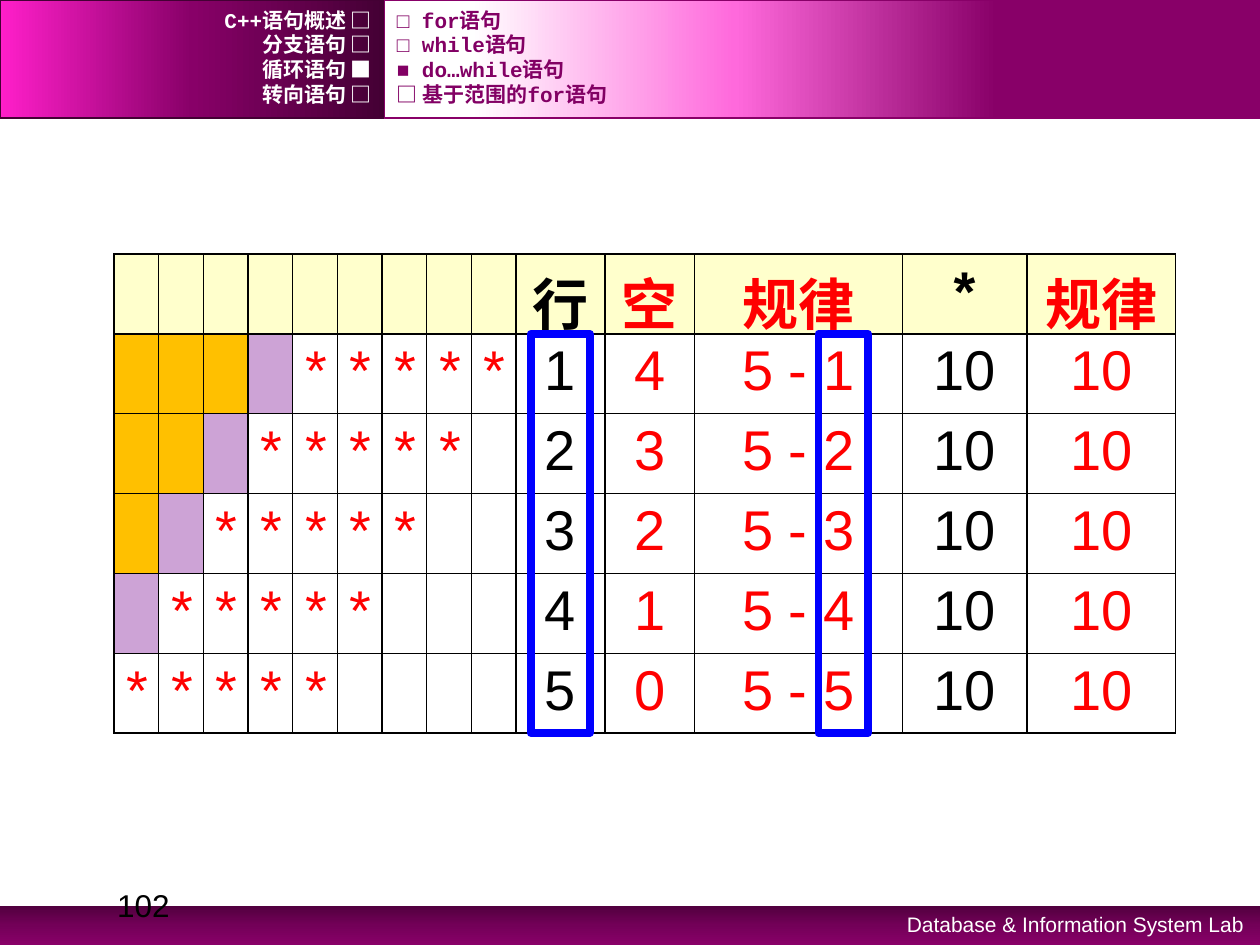
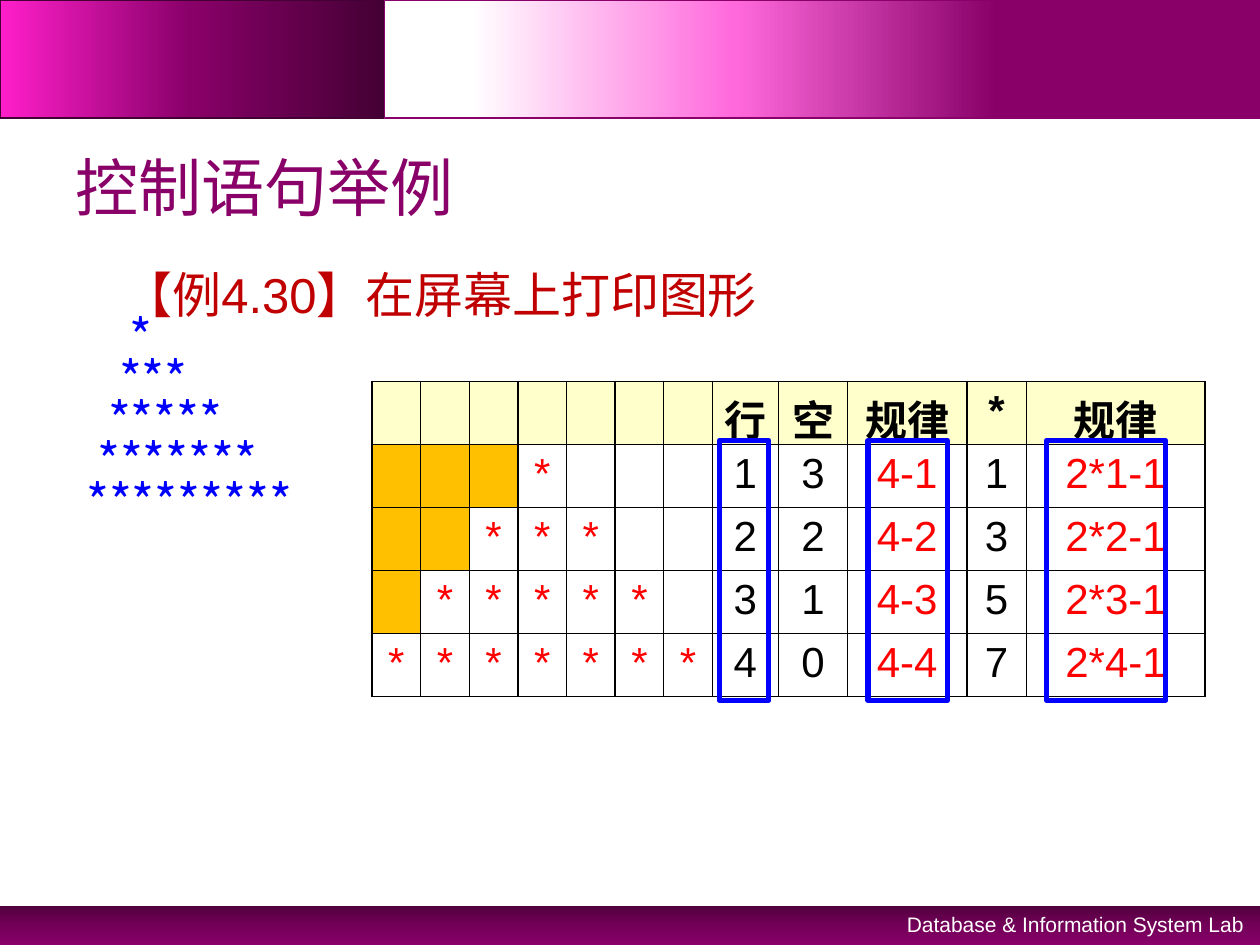
"""Build two slides on printing star figures with loops."""
from lxml.etree import SubElement as Sub
from pptx import Presentation
from pptx.dml.color import RGBColor
from pptx.enum.shapes import MSO_SHAPE as Shape
from pptx.enum.text import MSO_ANCHOR as Anchor, PP_ALIGN as Align
from pptx.oxml.ns import qn
from pptx.util import Cm, Pt

BLACK = RGBColor(0x00, 0x00, 0x00)
WHITE = RGBColor(0xFF, 0xFF, 0xFF)
RED = RGBColor(0xFF, 0x00, 0x00)
BRICK = RGBColor(0xC0, 0x00, 0x00)
BLUE = RGBColor(0x00, 0x00, 0xFF)
PLUM = RGBColor(0x88, 0x00, 0x68)
GRAPE = RGBColor(0x82, 0x00, 0x64)
DARK = RGBColor(0x44, 0x00, 0x34)
DEEP = RGBColor(0x51, 0x00, 0x3E)
WINE = RGBColor(0x73, 0x00, 0x58)
PINK = RGBColor(0xFF, 0x1F, 0xCA)
ROSE = RGBColor(0xFF, 0x69, 0xDC)
CREAM = RGBColor(0xFF, 0xFF, 0xCC)
GOLD = RGBColor(0xFF, 0xC0, 0x00)
LILAC = RGBColor(0xCD, 0xA3, 0xD6)

SANS, MONO, HAN = "Arial", "Courier New", "Noto Sans CJK SC"
FILLS = {"o": GOLD, "p": LILAC}
SPLIT = 7.75
TOPICS = ["C++语句概述 □", "分支语句 □", "循环语句 ■", "转向语句 □"]
LOOPS = ["□ for语句", "□ while语句", "■ do…while语句", "□ 基于范围的for语句"]


def add_run(para, text, size, color, font=SANS, bold=False):
    """Add one styled run to a paragraph."""
    run = para.add_run()
    run.text = text
    run.font.size = Pt(size)
    run.font.bold = bold
    run.font.name = font
    run.font.color.rgb = color
    Sub(run.font._element, qn("a:ea"), typeface=HAN)


def add_text(slide, box, text, size, color, font=SANS, bold=False,
             align=Align.LEFT, anchor=Anchor.TOP):
    """Add a one-line text box and return its frame."""
    frame = slide.shapes.add_textbox(*map(Cm, box)).text_frame
    frame.word_wrap = True
    frame.vertical_anchor = anchor
    para = frame.paragraphs[0]
    para.alignment = align
    add_run(para, text, size, color, font, bold)
    return frame


def add_rect(slide, box):
    """Add a plain rectangle without shadow."""
    rect = slide.shapes.add_shape(Shape.RECTANGLE, *map(Cm, box))
    rect.shadow.inherit = False
    return rect


def add_band(slide, box, stops, angle, edge=None):
    """Add a band with a gradient of (place, colour) stops."""
    band = add_rect(slide, box)
    band.fill.gradient()
    grad = band.fill._xPr.find(qn("a:gradFill"))
    for child in list(grad):
        grad.remove(child)
    items = Sub(grad, qn("a:gsLst"))
    for place, color in stops:
        stop = Sub(items, qn("a:gs"), pos=str(place * 1000))
        Sub(stop, qn("a:srgbClr"), val=str(color))
    Sub(grad, qn("a:lin"), ang=str(angle * 60000), scaled="0")
    if edge is None:
        band.line.fill.background()
    else:
        band.line.color.rgb = edge
        band.line.width = Pt(1)


def add_frame(slide, box, width):
    """Add a hollow blue box around a table column."""
    rect = add_rect(slide, box)
    rect.fill.background()
    rect.line.color.rgb = BLUE
    rect.line.width = Pt(width)


def add_base(deck):
    """Add a blank slide with the shared bands and footer."""
    slide = deck.slides.add_slide(deck.slide_layouts[6])
    add_band(slide, (0, 18.26, 25.4, 0.79),
             [(0, DEEP), (50, WINE), (100, PLUM)], 90)
    add_band(slide, (0, 0, SPLIT, 2.38),
             [(0, DARK), (50, PLUM), (100, PINK)], 180, DARK)
    add_band(slide, (SPLIT, 0, 25.4 - SPLIT, 2.38),
             [(30, PLUM), (60, ROSE), (90, WHITE)], 180, PLUM)
    add_text(slide, (16.31, 18.26, 9.02, 0.76),
             "Database & Information System Lab", 12, WHITE, align=Align.RIGHT)
    return slide


def set_cell(cell, text, size, color, fill=None, bold=False):
    """Give a cell its borders, fill and centred text."""
    props = cell._tc.get_or_add_tcPr()
    for side in ("lnL", "lnR", "lnT", "lnB"):
        line = Sub(props, qn("a:" + side), w=str(Pt(1)))
        Sub(Sub(line, qn("a:solidFill")), qn("a:srgbClr"), val=str(BLACK))
    if fill is None:
        cell.fill.background()
    else:
        cell.fill.solid()
        cell.fill.fore_color.rgb = fill
    if text:
        para = cell.text_frame.paragraphs[0]
        para.alignment = Align.CENTER
        add_run(para, text, size, color, bold=bold)


def add_grid(slide, spot, widths, height, size, heads, hues, rows):
    """Add a star table; rows hold (pattern, values)."""
    count = len(widths) - len(heads)
    shape = slide.shapes.add_table(len(rows) + 1, len(widths), *map(Cm, spot),
                                   Cm(sum(widths)), Cm(height))
    table = shape.table
    table.first_row = table.horz_banding = False
    for col, width in zip(table.columns, widths):
        col.width = Cm(width)
    for row in table.rows:
        row.height = Cm(1.04)
    shape.height = Cm(height)
    top = [("", BLACK)] * count + heads
    for c, (text, color) in enumerate(top):
        set_cell(table.cell(0, c), text, size, color, CREAM, True)
    for r, (marks, values) in enumerate(rows, 1):
        for c, mark in enumerate(marks.ljust(count)):
            text = "*" if mark == "*" else ""
            set_cell(table.cell(r, c), text, size, RED, FILLS.get(mark))
        for c, (value, hue) in enumerate(zip(values, hues), count):
            set_cell(table.cell(r, c), str(value), size, hue)


def add_menu(slide, left, width, items, color, align):
    """Add the stacked lines of a header menu."""
    for i, item in enumerate(items):
        add_text(slide, (left, 0.15 + 0.5 * i, width, 0.5), item, 12, color,
                 MONO, True, align, Anchor.MIDDLE)


def make_slant(deck):
    """Build the slide on the slanted block of stars."""
    slide = add_base(deck)
    add_text(slide, (2.11, 17.73, 5.92, 0.61), "102", 18, BLACK)
    heads = [("行", BLACK), ("空", RED), ("规律", RED), ("*", BLACK), ("规律", RED)]
    rows = []
    for n in range(1, 6):
        gap = 5 - n
        marks = ("o" * (gap - 1) + "p" if gap else "") + "*" * 5
        rows.append((marks, (n, gap, f"5 - {n}", 10, 10)))
    add_grid(slide, (2.3, 5.12), [0.9] * 9 + [1.8, 1.8, 4.19, 2.51, 3], 9.65,
             32, heads, [hue for _, hue in heads], rows)
    for left, width in ((10.7, 1.19), (16.5, 1)):
        add_frame(slide, (left, 6.73, width, 8.05), 4.5)
    add_menu(slide, 0, SPLIT, TOPICS, WHITE, Align.RIGHT)
    add_menu(slide, SPLIT, 15.29, LOOPS, GRAPE, Align.LEFT)


def make_peak(deck):
    """Build the slide on the pyramid of stars."""
    slide = add_base(deck)
    add_text(slide, (1.27, 2.77, 22.86, 1.98), "控制语句举例", 36, PLUM, HAN,
             anchor=Anchor.MIDDLE)
    frame = add_text(slide, (1.27, 5.2, 22.86, 12.5),
                     "【例4.30】在屏幕上打印图形", 28, BRICK)
    frame.paragraphs[0]._p.get_or_add_pPr().set("marL", str(Cm(0.97)))
    for n in range(5):
        para = frame.add_paragraph()
        para.line_spacing = 0.7
        para._p.get_or_add_pPr().set("marL", str(Cm(0.22 * (5 - n))))
        add_run(para, "*" * (2 * n + 1), 28, BLUE, HAN)
    heads = [(text, BLACK) for text in ("行", "空", "规律", "*", "规律")]
    rows = []
    for n in range(1, 5):
        gap, stars = 4 - n, 2 * n - 1
        rows.append(("o" * gap + "*" * stars,
                     (n, gap, f"4-{n}", stars, f"2*{n}-1")))
    add_grid(slide, (7.5, 7.69), [0.98] * 7 + [1.33, 1.4, 2.4, 1.2, 3.6], 6.35,
             24, heads, [BLACK, BLACK, RED, BLACK, RED], rows)
    for left, width in ((14.5, 1), (17.5, 1.6), (21.1, 2.4)):
        add_frame(slide, (left, 8.88, width, 5.24), 3)


def main():
    """Build and save the deck."""
    deck = Presentation()
    deck.slide_width, deck.slide_height = Cm(25.4), Cm(19.05)
    make_slant(deck)
    make_peak(deck)
    deck.save("out.pptx")


if __name__ == "__main__":
    main()
